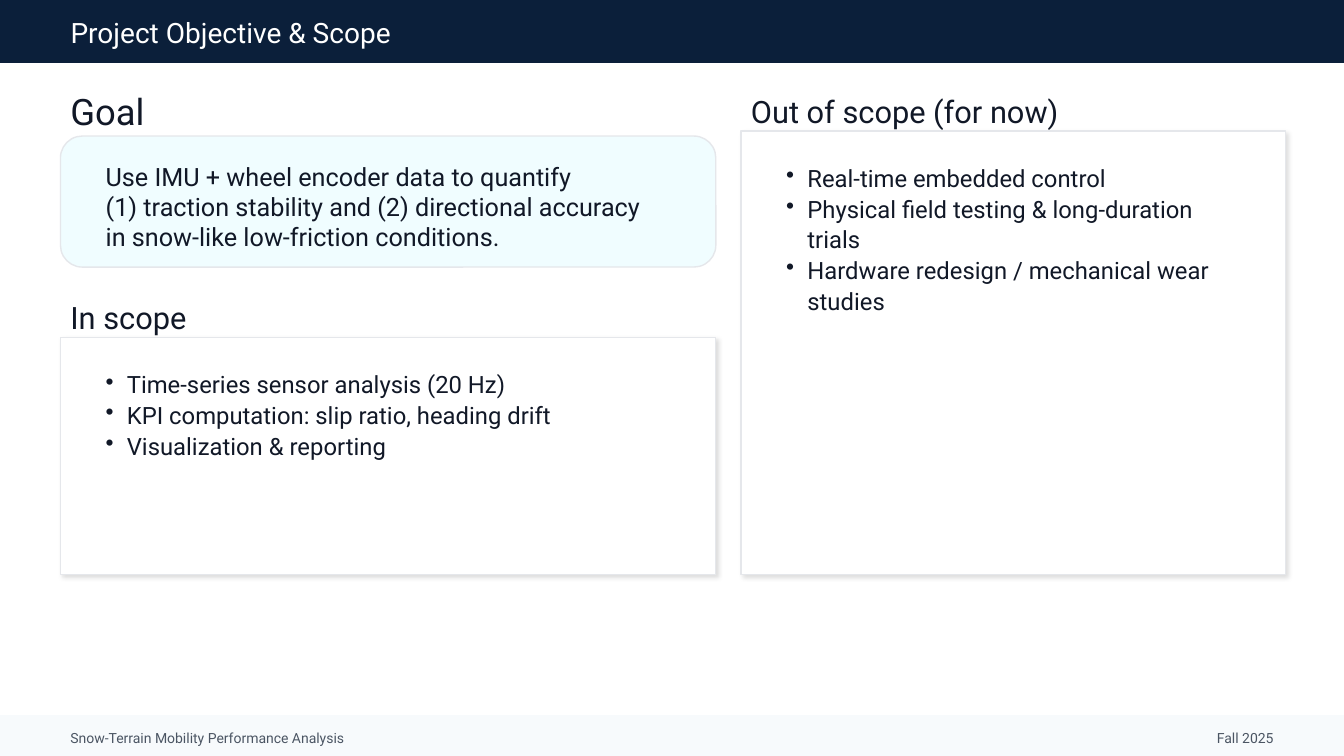
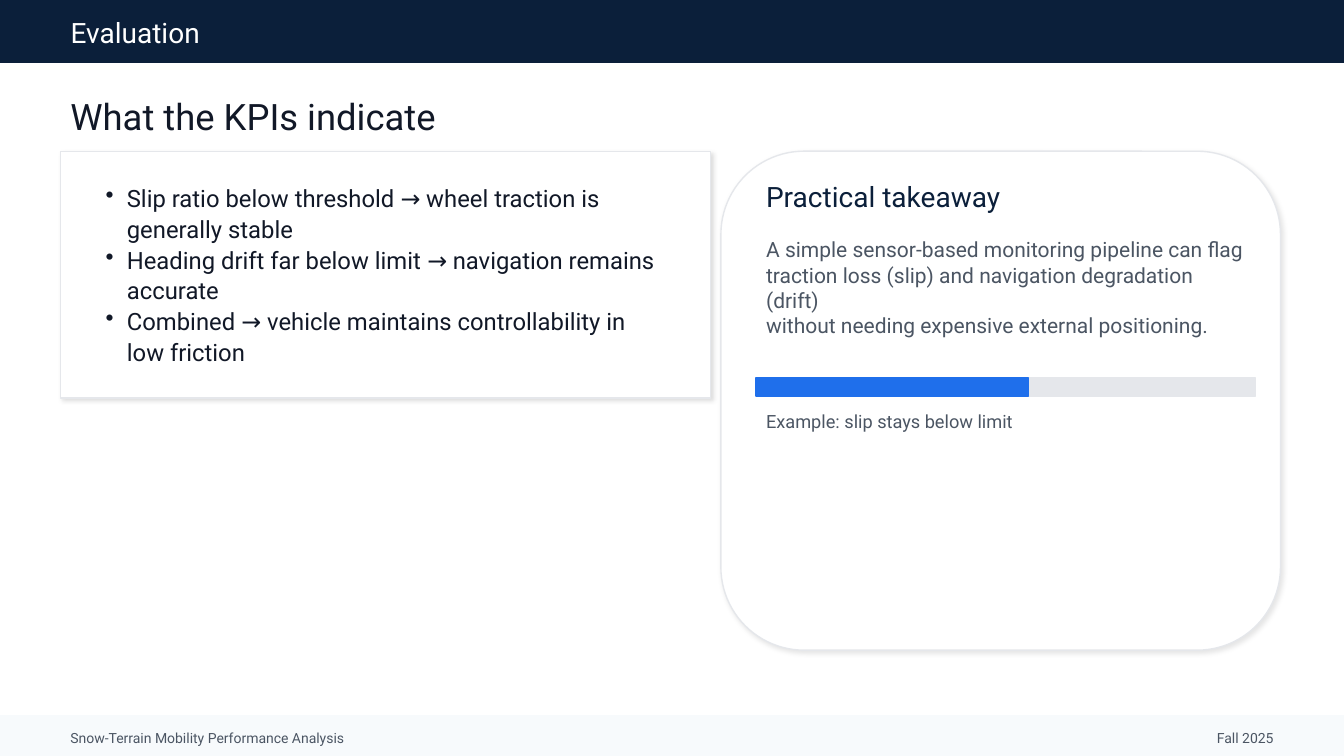
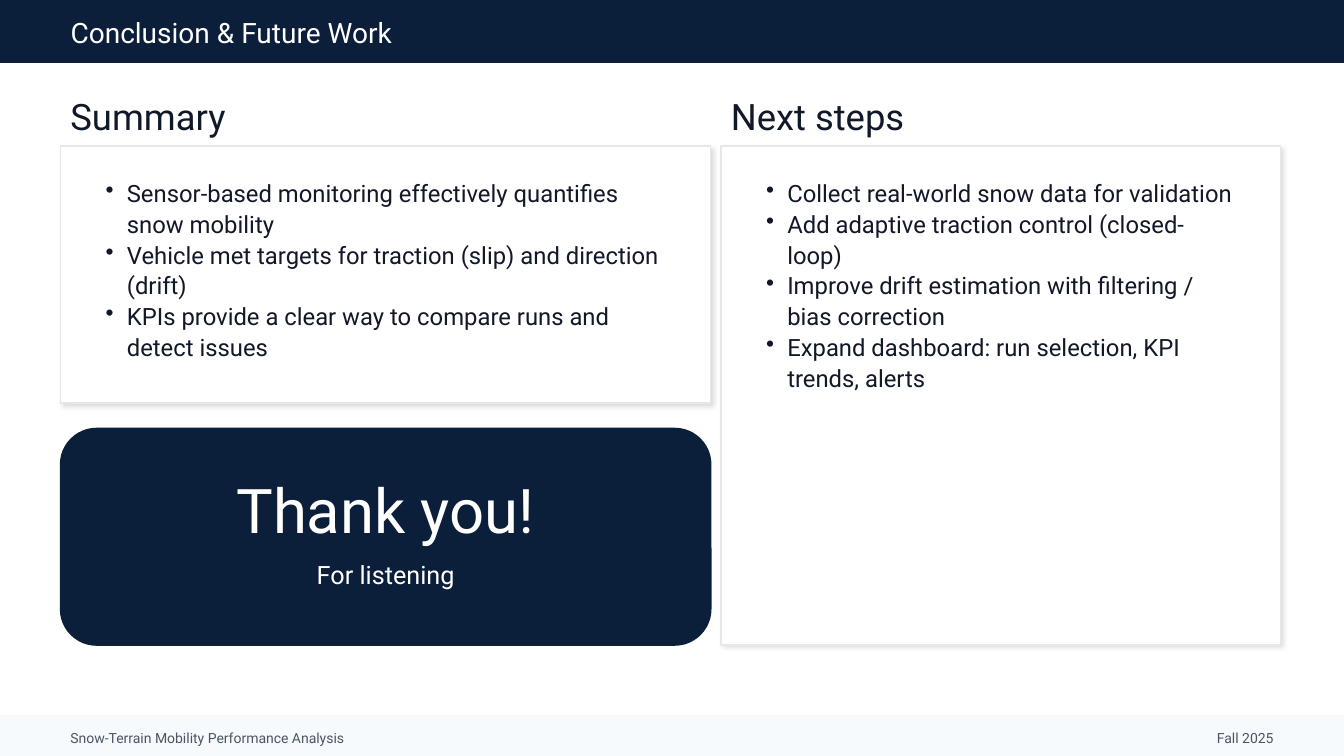
from lxml.etree import SubElement
from pptx import Presentation
from pptx.dml.color import RGBColor
from pptx.enum.shapes import MSO_SHAPE
from pptx.enum.text import MSO_ANCHOR, MSO_AUTO_SIZE, PP_ALIGN
from pptx.oxml.ns import qn
from pptx.util import Inches, Pt

FONT = "Roboto"
COLORS = {
    "navy": "0B1F3A",
    "blue": "1F6FEB",
    "ink": "111827",
    "muted": "4B5563",
    "border": "E5E7EB",
    "footer": "F7FAFC",
    "ice": "F0FDFF",
    "white": "FFFFFF",
}
WIDTH, HEIGHT = 13.33, 7.5
MARGIN = 0.6
CONTENT_W = WIDTH - 2 * MARGIN
PAD_X, PAD_Y = 0.35, 0.25


def rgb(name):
    return RGBColor.from_string(COLORS[name])


def add_bullet(p, color):
    """Give a paragraph a hanging round bullet."""
    pPr = p._p.get_or_add_pPr()
    pPr.set("marL", str(Inches(0.21)))
    pPr.set("indent", str(Inches(-0.21)))
    SubElement(SubElement(pPr, qn("a:buClr")), qn("a:srgbClr"), val=COLORS[color])
    SubElement(pPr, qn("a:buChar"), char="•")


def write(tf, *lines, size=17, color="ink", align=PP_ALIGN.LEFT,
          anchor=MSO_ANCHOR.MIDDLE, bullets=False):
    """Fill a text frame, one paragraph per line."""
    tf.word_wrap = True
    tf.auto_size = MSO_AUTO_SIZE.NONE
    tf.vertical_anchor = anchor
    for i, line in enumerate(lines):
        p = tf.add_paragraph() if i else tf.paragraphs[0]
        p.alignment = align
        if bullets:
            p.line_spacing = 1.08
            add_bullet(p, color)
        r = p.add_run()
        r.text = line
        r.font.name = FONT
        r.font.size = Pt(size)
        r.font.color.rgb = rgb(color)


class Deck:
    def __init__(self):
        self.prs = Presentation()
        self.prs.slide_width = Inches(WIDTH)
        self.prs.slide_height = Inches(HEIGHT)
        self.s = None

    def slide(self, title):
        """Start a slide with its title band and footer."""
        self.s = self.prs.slides.add_slide(self.prs.slide_layouts[5])
        self.box(0, 0, WIDTH, 0.62, "navy")
        sp = self.s.shapes.title
        sp.left, sp.top = Inches(MARGIN), Inches(0.12)
        sp.width, sp.height = Inches(CONTENT_W), Inches(0.4)
        write(sp.text_frame, title, size=20, color="white")
        self.s.shapes._spTree.append(sp._element)  # title in front of its band

        self.box(0, 7.1, WIDTH, 0.4, "footer")
        self.text(MARGIN, 7.2, CONTENT_W, 0.25,
                  "Snow-Terrain Mobility Performance Analysis", size=10, color="muted")
        self.text(9.13, 7.2, 3.6, 0.25, "Fall 2025", size=10, color="muted",
                  align=PP_ALIGN.RIGHT)

    def box(self, x, y, w, h, fill, line=None, rounded=False, shadow=0):
        """Draw a box; shadow is its opacity in percent."""
        shape = MSO_SHAPE.ROUNDED_RECTANGLE if rounded else MSO_SHAPE.RECTANGLE
        sp = self.s.shapes.add_shape(shape, Inches(x), Inches(y), Inches(w), Inches(h))
        sp.fill.solid()
        sp.fill.fore_color.rgb = rgb(fill)
        sp.line.color.rgb = rgb(line or fill)
        sp.line.width = Pt(1)
        sp.shadow.inherit = False
        if shadow:
            effects = sp._element.spPr.find(qn("a:effectLst"))
            outer = SubElement(effects, qn("a:outerShdw"), blurRad=str(Pt(3)),
                               dist=str(Pt(2)), dir=str(45 * 60000),
                               algn="bl", rotWithShape="0")
            clr = SubElement(outer, qn("a:srgbClr"), val="000000")
            SubElement(clr, qn("a:alpha"), val=str(shadow * 1000))

    def text(self, x, y, w, h, *lines, **fmt):
        sp = self.s.shapes.add_textbox(Inches(x), Inches(y), Inches(w), Inches(h))
        write(sp.text_frame, *lines, **fmt)

    def heading(self, x, y, w, h, text, size=26):
        self.text(x, y, w, h, text, size=size)

    def card(self, x, y, w, h, *items):
        """Draw a shadowed card with a bullet list inside."""
        self.box(x, y, w, h, "white", line="border", shadow=12)
        self.text(x + PAD_X, y + PAD_Y, w - 2 * PAD_X, h - 2 * PAD_Y, *items,
                  anchor=MSO_ANCHOR.TOP, bullets=True)

    def progress(self, x, y, w, h, done):
        """Draw a track with its first part filled."""
        self.box(x, y, w, h, "border")
        self.box(x, y, done, h, "blue")


def main():
    d = Deck()

    # Objective and scope
    d.slide("Project Objective & Scope")
    d.heading(MARGIN, 0.9, 5, 0.4, "Goal")
    d.box(MARGIN, 1.35, 6.5, 1.3, "ice", line="border", rounded=True)
    d.text(MARGIN + PAD_X, 1.55, 6.1, 1,
           "Use IMU + wheel encoder data to quantify",
           "(1) traction stability and (2) directional accuracy",
           "in snow-like low-friction conditions.", size=18)
    d.heading(MARGIN, 2.95, 6, 0.4, "In scope", size=22)
    d.card(MARGIN, 3.35, 6.5, 2.35,
           "Time-series sensor analysis (20 Hz)",
           "KPI computation: slip ratio, heading drift",
           "Visualization & reporting")
    d.heading(7.35, 0.9, 5.4, 0.4, "Out of scope (for now)", size=22)
    d.card(7.35, 1.3, 5.4, 4.4,
           "Real-time embedded control",
           "Physical field testing & long-duration trials",
           "Hardware redesign / mechanical wear studies")

    # Columns of the next two slides
    left_w, right, right_w = 6.45, 7.15, 5.55

    # Evaluation
    d.slide("Evaluation")
    d.heading(MARGIN, 0.9, CONTENT_W, 0.5, "What the KPIs indicate")
    d.card(MARGIN, 1.5, left_w, 2.45,
           "Slip ratio below threshold → wheel traction is generally stable",
           "Heading drift far below limit → navigation remains accurate",
           "Combined → vehicle maintains controllability in low friction")
    d.box(right, 1.5, right_w, 4.95, "white", line="border", rounded=True, shadow=10)
    inner, inner_w = right + PAD_X, 4.95
    d.text(inner, 1.75, 4.9, 0.4, "Practical takeaway", size=20, color="navy")
    d.text(inner, 2.25, inner_w, 1.2,
           "A simple sensor-based monitoring pipeline can flag",
           "traction loss (slip) and navigation degradation (drift)",
           "without needing expensive external positioning.", size=15, color="muted")
    d.progress(inner, 3.75, inner_w, 0.18, done=2.7)
    d.text(inner, 4, inner_w, 0.35, "Example: slip stays below limit",
           size=13, color="muted")

    # Conclusion
    d.slide("Conclusion & Future Work")
    d.heading(MARGIN, 0.9, 6, 0.5, "Summary")
    d.card(MARGIN, 1.45, left_w, 2.55,
           "Sensor-based monitoring effectively quantifies snow mobility",
           "Vehicle met targets for traction (slip) and direction (drift)",
           "KPIs provide a clear way to compare runs and detect issues")
    d.heading(right, 0.9, right_w, 0.5, "Next steps")
    d.card(right, 1.45, right_w, 4.95,
           "Collect real-world snow data for validation",
           "Add adaptive traction control (closed-loop)",
           "Improve drift estimation with filtering / bias correction",
           "Expand dashboard: run selection, KPI trends, alerts")
    d.box(MARGIN, 4.25, left_w, 2.15, "navy", rounded=True)
    d.text(MARGIN, 4.65, left_w, 0.8, "Thank you!", size=44, color="white",
           align=PP_ALIGN.CENTER)
    d.text(MARGIN, 5.45, left_w, 0.5, "For listening", size=18, color="white",
           align=PP_ALIGN.CENTER)

    d.prs.save("out.pptx")


if __name__ == "__main__":
    main()
